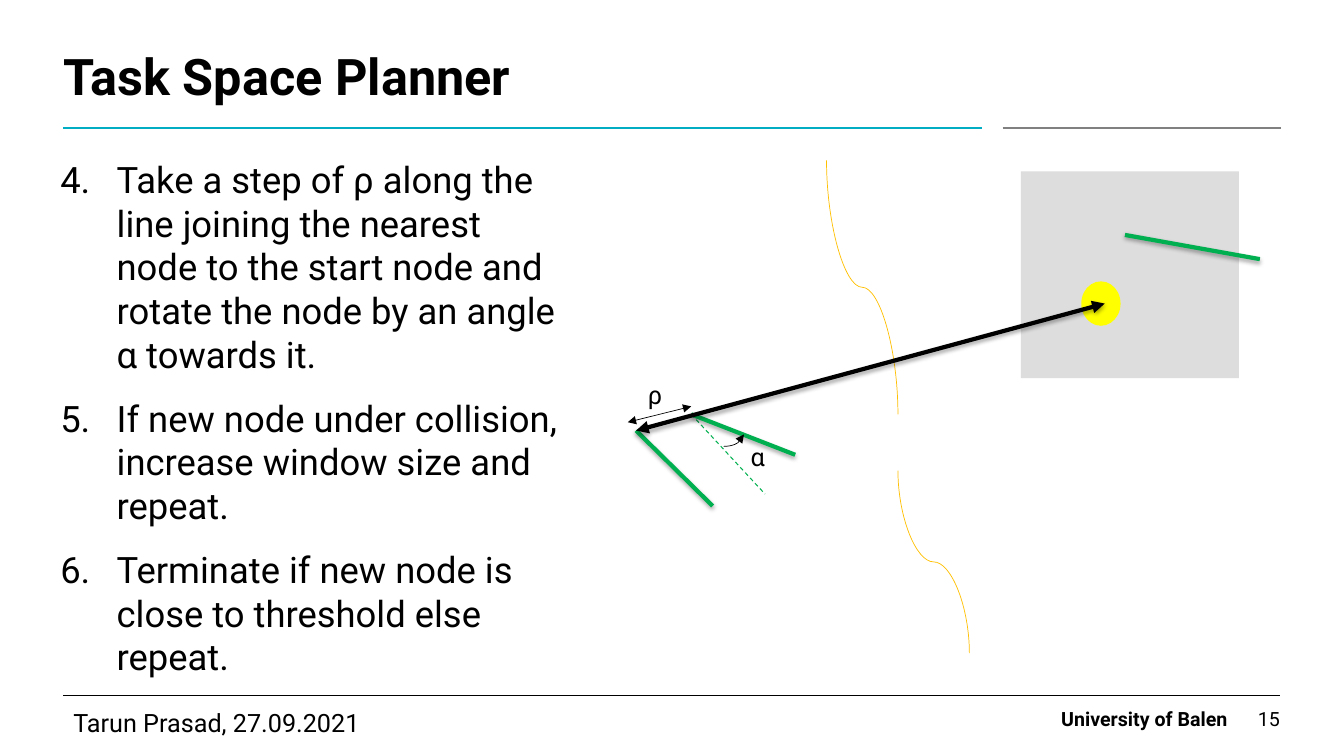
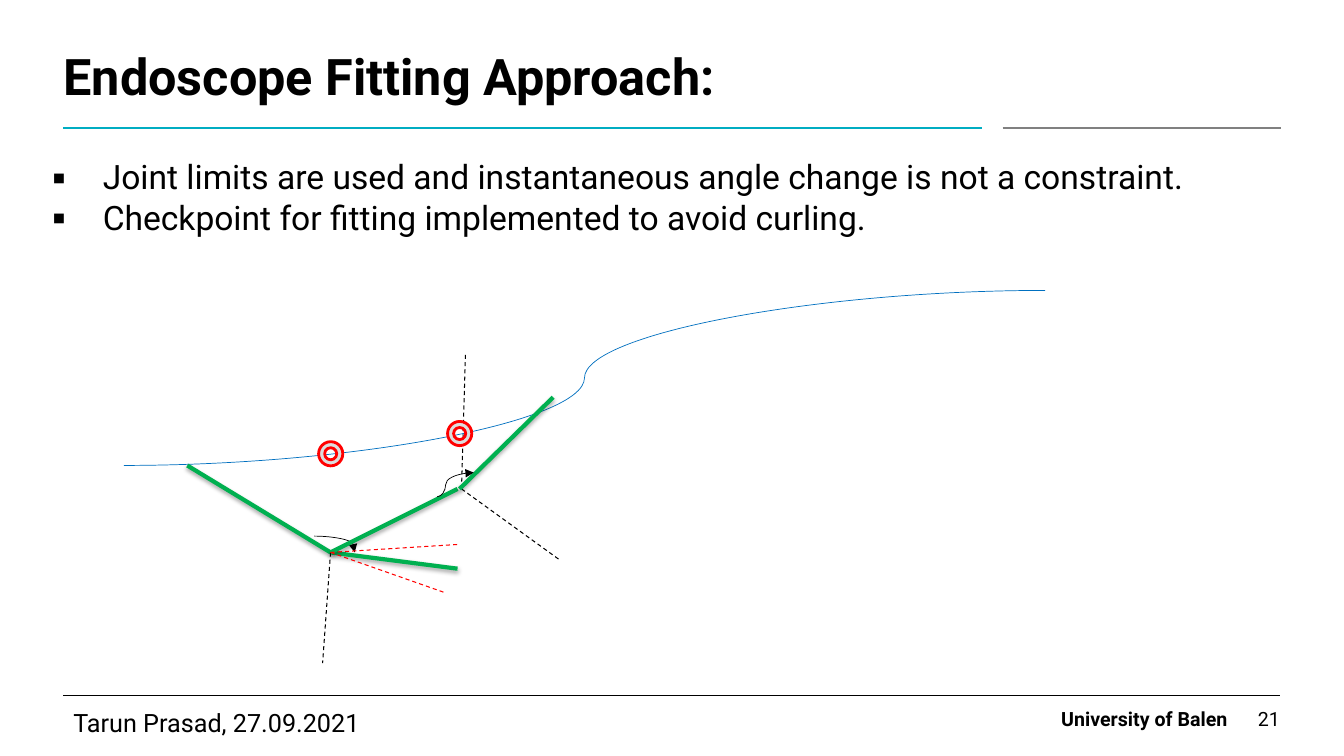
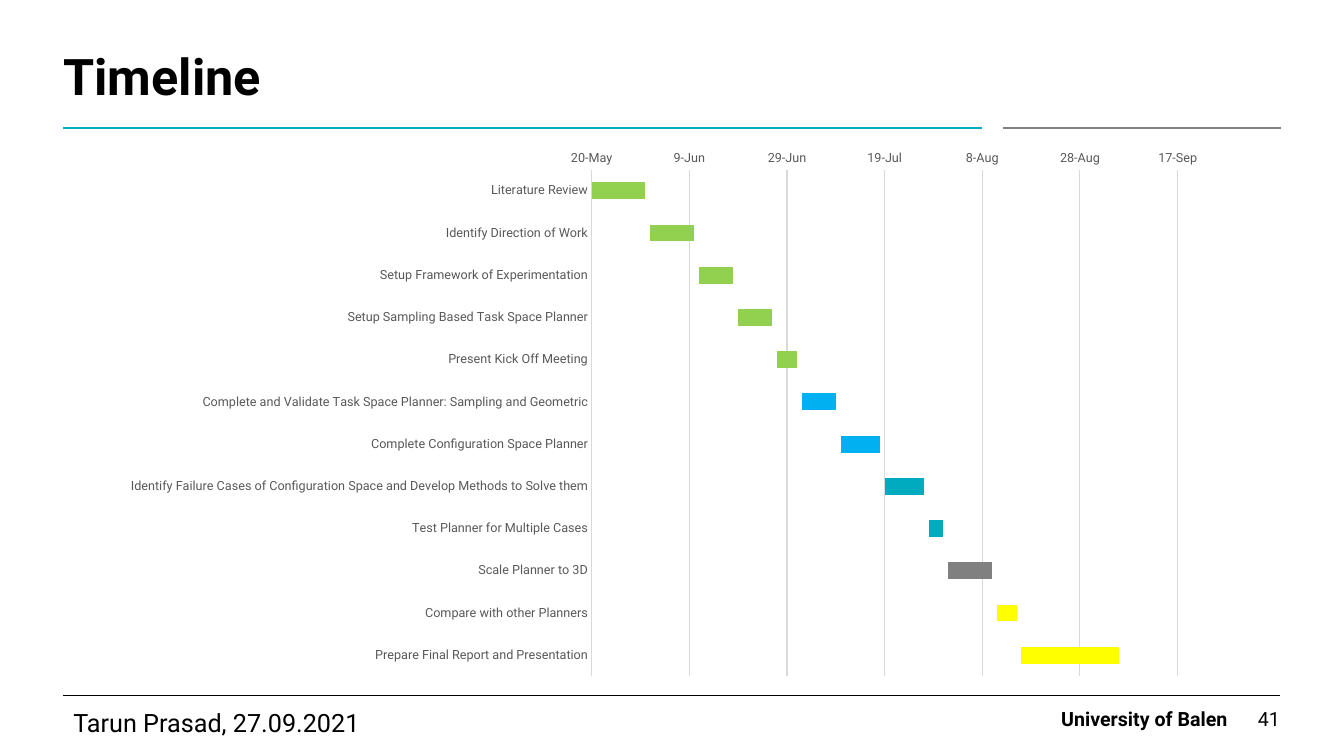
from lxml import etree
from pptx import Presentation
from pptx import util as u
from pptx.chart.data import CategoryChartData
from pptx.dml.color import RGBColor
from pptx.enum import chart as ch, dml, shapes, text
from pptx.oxml import parse_xml
from pptx.oxml.ns import nsdecls, qn

BLACK = RGBColor(0x00, 0x00, 0x00)
TEAL = RGBColor(0x00, 0xAD, 0xC2)
GREY = RGBColor(0x80, 0x80, 0x80)
PALE = RGBColor(0xDD, 0xDD, 0xDD)
GREEN = RGBColor(0x00, 0xB0, 0x50)
AMBER = RGBColor(0xFF, 0xC0, 0x00)
YELLOW = RGBColor(0xFF, 0xFF, 0x00)
BLUE = RGBColor(0x00, 0x70, 0xC0)
RED = RGBColor(0xFF, 0x00, 0x00)
LIME = RGBColor(0x92, 0xD0, 0x50)
SKY = RGBColor(0x00, 0xB0, 0xF0)
SEA = RGBColor(0x00, 0xAA, 0xBF)
AXIS_TEXT = RGBColor(0x59, 0x59, 0x59)
AXIS_LINE = RGBColor(0xD9, 0xD9, 0xD9)
FONT = "Roboto"

AUTHOR = "Tarun Prasad, 27.09.2021"
SCHOOL = "University of Balen"

STROKES = {
    "foot rule": dict(color=BLACK, width=0.25),
    "title rule": dict(color=TEAL, width=1.5),
    "side rule": dict(color=GREY, width=1.5),
    "link": dict(color=GREEN, width=3, shadow=True),
    "old link": dict(color=GREEN, width=0.75, dash=True),
    "wall": dict(color=AMBER, width=0.5, curve=True, upright=True),
    "path": dict(color=BLUE, width=0.5, curve=True),
    "angle": dict(color=BLACK, width=0.5, curve=True, ends=("tailEnd",)),
    "step": dict(color=BLACK, width=0.5, ends=("headEnd", "tailEnd")),
    "heading": dict(color=BLACK, width=3, ends=("headEnd", "tailEnd"), shadow=True),
    "limit": dict(color=BLACK, width=0.75, dash=True),
    "trial": dict(color=RED, width=0.75, dash=True),
}

FRAME_RULES = [
    ("foot rule", (1.6, 17.53), (32.26, 17.53)),
    ("title rule", (1.6, 3.23), (24.74, 3.23)),
    ("side rule", (25.27, 3.23), (32.28, 3.23)),
]

PLANNER_STEPS = [
    "Take a step of ρ along the line joining the nearest node to the start node "
    "and rotate the node by an angle α towards it.",
    "If new node under collision, increase window size and repeat.",
    "Terminate if new node is close to threshold else repeat.",
]
NEAREST, NEW_NODE, GOAL = (16.03, 10.85), (17.42, 10.44), (27.84, 7.65)
PLANNER_AREAS = [
    ("RECTANGLE", (25.73, 4.32, 5.49, 5.21), PALE, None),
    ("OVAL", (27.25, 7.09, 0.99, 1.12), YELLOW, None),
]
PLANNER_STROKES = [
    ("link", NEAREST, (17.96, 12.75)),
    ("link", (28.35, 5.92), (31.75, 6.53)),
    ("wall", (20.83, 4.04), (22.63, 10.44)),
    ("wall", (22.63, 11.86), (24.43, 16.46)),
    ("old link", NEW_NODE, (19.28, 12.45)),
    ("link", NEW_NODE, (20.04, 11.46)),
    ("angle", (18.24, 11.25), (18.75, 10.95), 77500),
    ("step", (15.82, 10.64), (17.42, 10.24)),
    ("heading", NEAREST, GOAL),
]
PLANNER_SYMBOLS = [("α", (18.92, 11.1, 0.71, 0.3)), ("ρ", (16.33, 9.55, 0.79, 0.41))]

FITTING_POINTS = [
    "Joint limits are used and instantaneous angle change is not a constraint.",
    "Checkpoint for fitting implemented to avoid curling.",
]
JOINT, SECOND_JOINT, LINK_TIP = (8.33, 13.92), (11.63, 12.32), (11.53, 12.32)
FITTING_STROKES = [
    ("path", (3.12, 11.73), (26.34, 7.32)),
    ("link", (4.72, 11.73), JOINT),
    ("link", (11.53, 14.33), JOINT),
    ("angle", (7.92, 13.51), (8.94, 13.92), 96000),
    ("limit", JOINT, LINK_TIP),
    ("limit", JOINT, (8.13, 16.71)),
    ("link", JOINT, LINK_TIP),
    ("limit", SECOND_JOINT, (11.73, 8.92)),
    ("limit", SECOND_JOINT, (14.12, 14.12)),
    ("link", (11.58, 12.32), (13.94, 10.01)),
    ("trial", JOINT, (11.23, 14.94)),
    ("trial", JOINT, (11.53, 13.72)),
    ("angle", (11.02, 12.52), (11.94, 11.91), 23100),
]
CHECKPOINTS = [
    ("DONUT", (left, top, 0.61, 0.61), PALE, RED)
    for left, top in [(8.03, 11.13), (11.28, 10.62)]
]

TASKS = [
    ("Literature Review", 44336, 11, LIME),
    ("Identify Direction of Work", 44348, 9, LIME),
    ("Setup Framework of Experimentation", 44358, 7, LIME),
    ("Setup Sampling Based Task Space Planner", 44366, 7, LIME),
    ("Present Kick Off Meeting", 44374, 4, LIME),
    ("Complete and Validate Task Space Planner: Sampling and Geometric", 44379, 7, SKY),
    ("Complete Configuration Space Planner", 44387, 8, SKY),
    ("Identify Failure Cases of Configuration Space and Develop Methods to Solve them",
     44396, 8, SEA),
    ("Test Planner for Multiple Cases", 44405, 3, SEA),
    ("Scale Planner to 3D", 44409, 9, GREY),
    ("Compare with other Planners", 44419, 4, YELLOW),
    ("Prepare Final Report and Presentation", 44424, 20, YELLOW),
]


def cm(values):
    return [u.Cm(value) for value in values]


def style(font, size, color=BLACK, bold=False):
    font.name, font.size, font.bold = FONT, u.Pt(size), bold
    font.color.rgb = color


def write(holder, lines, size, bold=False, align="LEFT", anchor="TOP",
          margins=(0, 0, 0, 0), spacing=None, gap=0):
    frame = holder.text_frame
    frame.text = "\n".join(lines)
    frame.word_wrap = True
    frame.auto_size = text.MSO_AUTO_SIZE.NONE
    frame.vertical_anchor = text.MSO_ANCHOR[anchor]
    (frame.margin_left, frame.margin_top,
     frame.margin_right, frame.margin_bottom) = cm(margins)
    for index, paragraph in enumerate(frame.paragraphs):
        paragraph.alignment = text.PP_ALIGN[align]
        paragraph.space_before = u.Pt(gap if index else 0)
        if spacing:
            paragraph.line_spacing = u.Pt(spacing)
        style(paragraph.runs[0].font, size, bold=bold)


def place(holder, box):
    holder.left, holder.top, holder.width, holder.height = cm(box)


def add_label(slide, words, box, size, **options):
    write(slide.shapes.add_textbox(*cm(box)), [words], size, **options)


def add_stroke(slide, kind, start, end, bend=None):
    look = STROKES[kind]
    (x1, y1), (x2, y2) = start, end
    upright = look.get("upright")
    if upright:
        middle_x, middle_y = (x1 + x2) / 2, (y1 + y2) / 2
        half_w, half_h = (y2 - y1) / 2, (x2 - x1) / 2
        x1, x2 = middle_x + half_w, middle_x - half_w
        y1, y2 = middle_y - half_h, middle_y + half_h
    form = shapes.MSO_CONNECTOR.CURVE if look.get("curve") else shapes.MSO_CONNECTOR.STRAIGHT
    stroke = slide.shapes.add_connector(form, *cm((x1, y1, x2, y2)))
    stroke.line.color.rgb = look["color"]
    stroke.line.width = u.Pt(look["width"])
    if look.get("dash"):
        stroke.line.dash_style = dml.MSO_LINE.DASH
    properties = stroke._element.spPr
    if upright:
        properties.find(qn("a:xfrm")).set("rot", "16200000")
    if bend:
        guides = properties.find(qn("a:prstGeom")).find(qn("a:avLst"))
        etree.SubElement(guides, qn("a:gd"), name="adj1", fmla=f"val {bend}")
    for tip in look.get("ends", ()):
        etree.SubElement(properties.find(qn("a:ln")), qn(f"a:{tip}"), type="triangle")
    effects = etree.SubElement(properties, qn("a:effectLst"))
    if look.get("shadow"):
        effects.append(parse_xml(
            f'<a:outerShdw {nsdecls("a")} blurRad="40000" dist="23000" dir="5400000" '
            'rotWithShape="0"><a:srgbClr val="000000"><a:alpha val="35000"/>'
            '</a:srgbClr></a:outerShdw>'))


def add_strokes(slide, strokes):
    for stroke in strokes:
        add_stroke(slide, *stroke)


def add_areas(slide, areas):
    for form, box, fill, outline in areas:
        area = slide.shapes.add_shape(shapes.MSO_SHAPE[form], *cm(box))
        area.shadow.inherit = False
        area.fill.solid()
        area.fill.fore_color.rgb = fill
        if outline:
            area.line.color.rgb = outline
            area.line.width = u.Pt(2)
        else:
            area.line.fill.background()


def add_list(slide, lines, box, size, indent, bullet, gap=0):
    body = slide.placeholders[1]
    place(body, box)
    write(body, lines, size, gap=gap)
    tag, attributes = bullet
    for paragraph in body.text_frame.paragraphs:
        properties = paragraph._p.get_or_add_pPr()
        properties.set("marL", str(u.Cm(indent)))
        properties.set("indent", str(-u.Cm(indent)))
        etree.SubElement(properties, qn("a:buFont"), typeface=FONT)
        etree.SubElement(properties, qn(tag), **attributes)


def new_slide(deck, layout, title, number):
    slide = deck.slides.add_slide(deck.slide_layouts.get_by_name(layout))
    add_strokes(slide, FRAME_RULES)
    place(slide.shapes.title, (1.6, 1.12, 23.14, 2.11))
    write(slide.shapes.title, [title], 36, bold=True, anchor="MIDDLE", spacing=28)
    add_label(slide, AUTHOR, (1.6, 17.7, 18.34, 0.79), 18,
              margins=(0.25, 0.13, 0.25, 0.13))
    footer = dict(align="RIGHT", anchor="MIDDLE", margins=(0, 0.05, 0, 0))
    add_label(slide, SCHOOL, (25.73, 17.7, 5.21, 0.79), 14, bold=True, **footer)
    add_label(slide, str(number), (30.94, 17.7, 1.32, 0.79), 14, **footer)
    return slide


def add_timeline(slide):
    names, starts, days, colors = zip(*TASKS)
    data = CategoryChartData()
    data.categories = names
    data.add_series("Series 1", starts)
    data.add_series("Series 2", days)
    chart = slide.shapes.add_chart(
        ch.XL_CHART_TYPE.BAR_STACKED, *cm((2.74, 3.53, 27.99, 13.79)), data).chart
    chart.has_title = chart.has_legend = False
    style(chart.font, 10)
    plot = chart.plots[0]
    plot.gap_width, plot.overlap, plot.vary_by_categories = 150, 100, False
    offsets, bars = plot.series
    offsets.format.fill.background()
    for index, color in enumerate(colors):
        fill = bars.points[index].format.fill
        fill.solid()
        fill.fore_color.rgb = color
    tasks, dates = chart.category_axis, chart.value_axis
    for axis in (tasks, dates):
        axis.major_tick_mark = axis.minor_tick_mark = ch.XL_TICK_MARK.NONE
        style(axis.tick_labels.font, 9, AXIS_TEXT)
    tasks.reverse_order = True
    dates.minimum_scale, dates.maximum_scale, dates.major_unit = 44336, 44456, 20
    dates.tick_labels.number_format = "d\\-mmm"
    dates.tick_labels.number_format_is_linked = False
    dates.format.line.fill.background()
    dates.has_major_gridlines = True
    for line in (tasks.format.line, dates.major_gridlines.format.line):
        line.color.rgb = AXIS_LINE
        line.width = u.Pt(0.75)


def main():
    deck = Presentation()
    deck.slide_width, deck.slide_height = cm((33.87, 19.05))

    planner = new_slide(deck, "Title and Content", "Task Space Planner", 15)
    add_areas(planner, PLANNER_AREAS)
    add_strokes(planner, PLANNER_STROKES)
    for symbol, box in PLANNER_SYMBOLS:
        add_label(planner, symbol, box, 18, spacing=22)
    add_list(planner, PLANNER_STEPS, (1.52, 3.96, 12.55, 13.3), 26, 1.42,
             ("a:buAutoNum", dict(type="arabicPeriod", startAt="4")), gap=14.5)

    fitting = new_slide(deck, "Title and Content", "Endoscope Fitting Approach:", 21)
    add_list(fitting, FITTING_POINTS, (1.32, 3.94, 31.67, 5), 24, 1.27,
             ("a:buChar", dict(char="▪")))
    add_strokes(fitting, FITTING_STROKES)
    add_areas(fitting, CHECKPOINTS)

    add_timeline(new_slide(deck, "Title Only", "Timeline", 41))
    deck.save("out.pptx")


if __name__ == "__main__":
    main()
